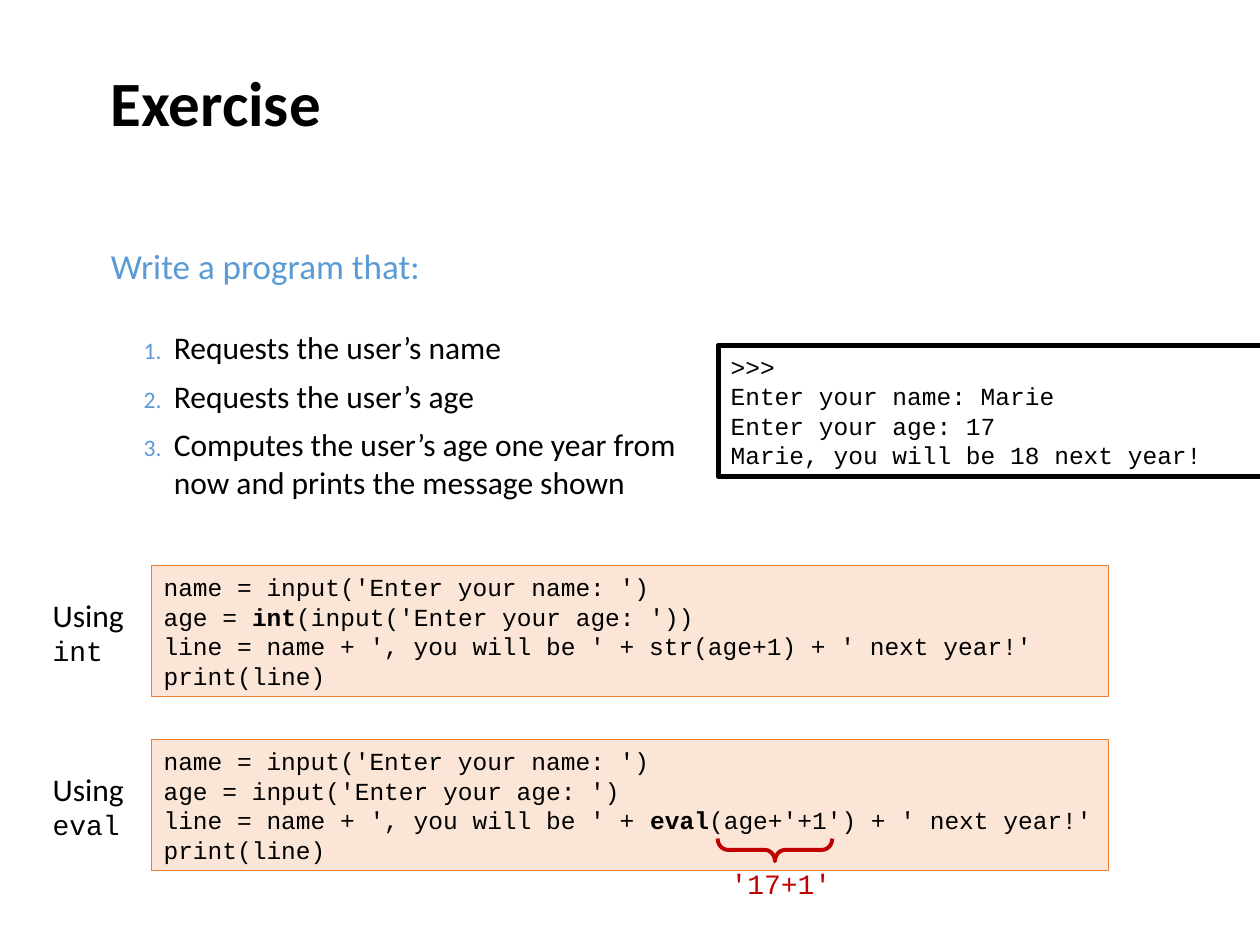
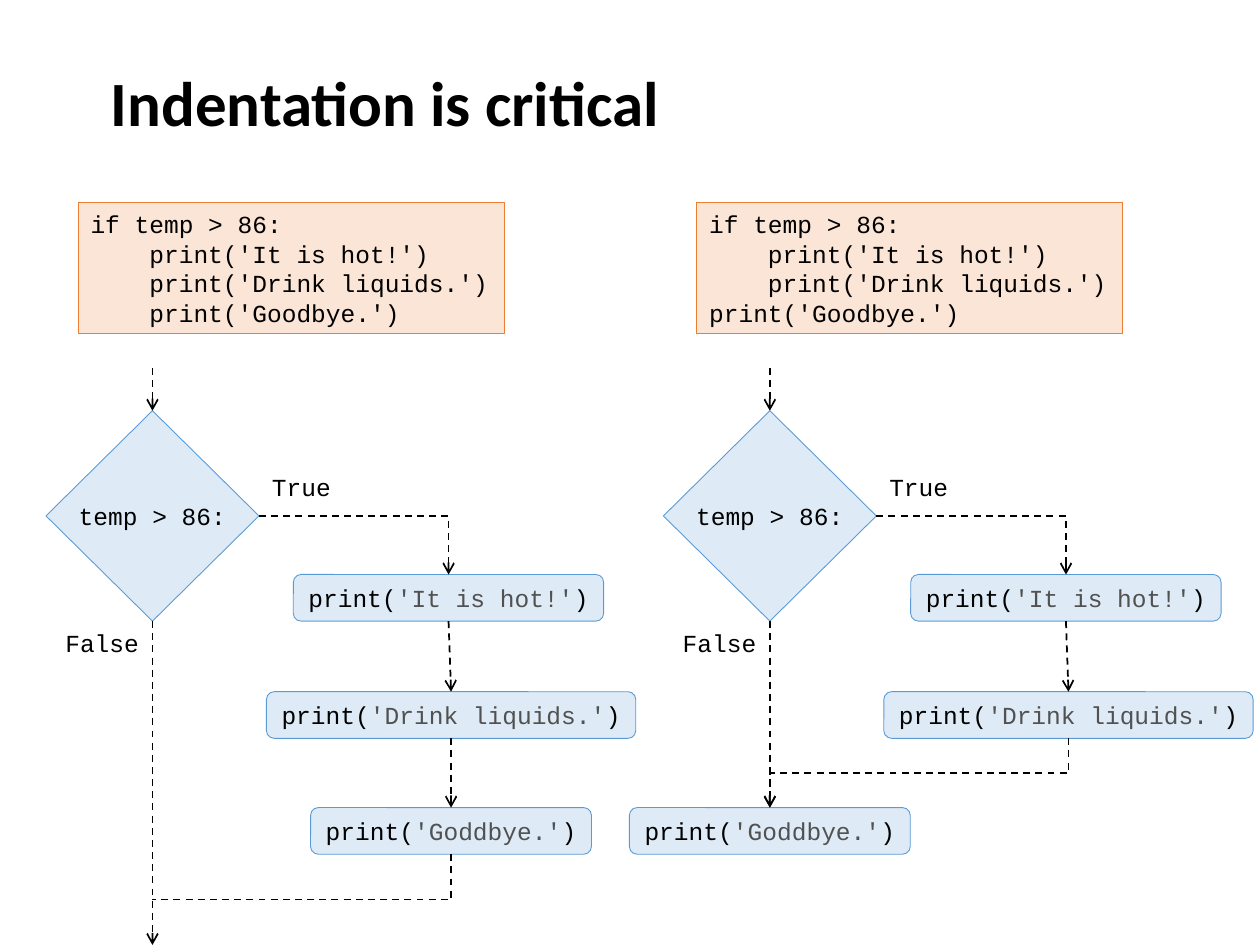
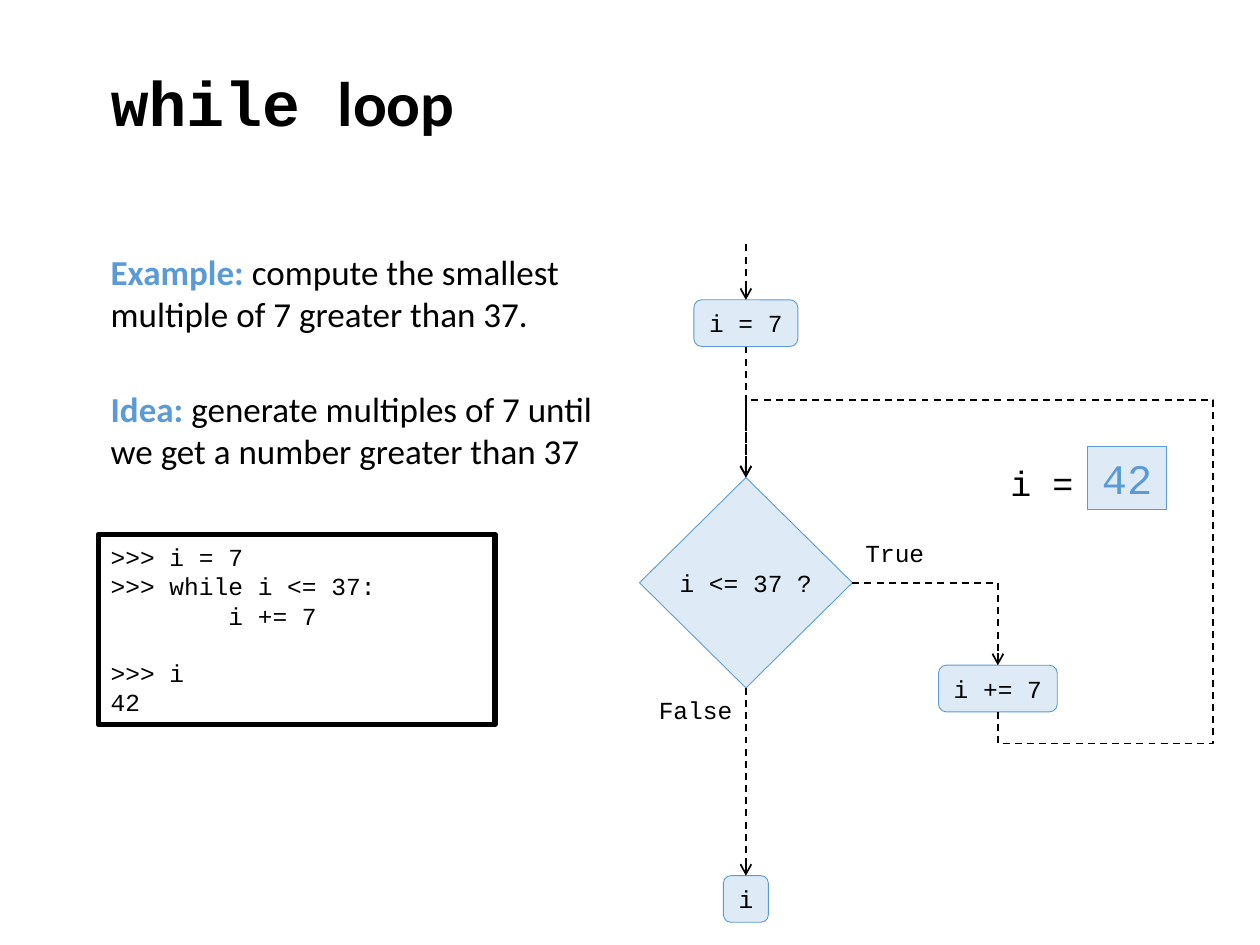
"""Build three slides on Python input, indentation and the while loop."""
from lxml import etree
from pptx import Presentation
from pptx import util as u
from pptx.dml.color import RGBColor
from pptx.enum import dml, shapes, text
from pptx.oxml.ns import qn

EXERCISE = {
    "title": [("Exercise", "title")],
    "task": "Write a program that:",
    "steps": [
        "Requests the user’s name",
        "Requests the user’s age",
        "Computes the user’s age one year from now and prints the message shown",
    ],
    "session": [
        ">>>",
        "Enter your name: Marie",
        "Enter your age: 17",
        "Marie, you will be 18 next year!",
    ],
    "solutions": [
        ("int", [
            "name = input('Enter your name: ')",
            [("age = ", "code"), ("int", "keyword"), ("(input('Enter your age: '))", "code")],
            "line = name + ', you will be ' + str(age+1) + ' next year!'",
            "print(line)",
        ]),
        ("eval", [
            "name = input('Enter your name: ')",
            "age = input('Enter your age: ')",
            [("line = name + ', you will be ' + ", "code"), ("eval", "keyword"),
             ("(age+'+1') + ' next year!'", "code")],
            "print(line)",
        ]),
    ],
    "evaluated": "'17+1'",
}

INDENTATION = {
    "title": [("Indentation is critical", "title")],
    "condition": "temp > 86:",
    "body": ["if temp > 86:", "    print('It is hot!')", "    print('Drink liquids.')"],
    "inside": "    print('Goodbye.')",
    "outside": "print('Goodbye.')",
    "printed": ["'It is hot!'", "'Drink liquids.'", "'Goddbye.'"],
}

LOOP = {
    "title": [("while ", "code_title"), ("loop", "title")],
    "notes": [
        ("Example: ", "compute the smallest multiple of 7 greater than 37."),
        ("Idea: ", "generate multiples of 7 until we get a number greater than 37"),
    ],
    "session": [">>> i = 7", ">>> while i <= 37:", "        i += 7", "", ">>> i", "42"],
    "start": "i = 7",
    "condition": "i <= 37 ?",
    "step": "i += 7",
    "finish": "i",
    "variable": "i =",
    "value": "42",
}


class Theme:
    sans, mono = "Calibri", "Courier New"
    black, blue, red, grey = "000000", "5B9BD5", "C00000", "505150"
    text = {
        "title": (36, sans, black, True),
        "code_title": (36, mono, black, True),
        "task": (20, sans, blue, False),
        "lead": (20, sans, blue, True),
        "note": (20, sans, black, False),
        "item": (18, sans, black, False),
        "code": (14, mono, black, False),
        "keyword": (14, mono, black, True),
        "string": (14, mono, grey, False),
        "function": (16, mono, black, False),
        "evaluated": (16, mono, red, False),
        "variable": (20, mono, black, False),
        "value": (24, mono, blue, False),
    }
    code_box = ("FBE5D6", "ED7D31", 0.5)
    session_box = ("FFFFFF", black, 3)
    flow_box = ("DEEBF7", blue, 0.5)
    brace = (None, red, 2.25)


TOP, LEFT, BOTTOM, RIGHT = range(4)
MIDDLE, UPPER = text.MSO_ANCHOR.MIDDLE, text.MSO_ANCHOR.TOP
CENTER, START = text.PP_ALIGN.CENTER, text.PP_ALIGN.LEFT
KIND = shapes.MSO_SHAPE
DIAMOND_W, DIAMOND_H = 1.69, 1.67
NODE_H = 0.37


def add_runs(paragraph, runs):
    for words, style in runs:
        size, font, color, bold = Theme.text[style]
        run = paragraph.add_run()
        run.text = words
        run.font.size, run.font.name, run.font.bold = u.Pt(size), font, bold
        run.font.color.rgb = RGBColor.from_string(color)


def write(frame, lines, style="code", align=START, anchor=MIDDLE, wrap=True):
    frame.word_wrap, frame.vertical_anchor = wrap, anchor
    frame.auto_size = text.MSO_AUTO_SIZE.NONE
    paragraph, gap = frame.paragraphs[0], 0
    for number, line in enumerate(lines):
        if not line:
            gap = 16
            continue
        if number:
            paragraph = frame.add_paragraph()
        paragraph.alignment = align
        paragraph.space_before, gap = u.Pt(gap), 0
        add_runs(paragraph, [(line, style)] if isinstance(line, str) else line)


def place(part, box):
    part.left, part.top, part.width, part.height = map(u.Inches, box)


def label(slide, box, lines, style="code", **layout):
    write(slide.shapes.add_textbox(*map(u.Inches, box)).text_frame, lines, style, **layout)


def draw(slide, kind, box, look):
    part = slide.shapes.add_shape(kind, *map(u.Inches, box))
    part.shadow.inherit = False
    fill, line, width = look
    if fill:
        part.fill.solid()
        part.fill.fore_color.rgb = RGBColor.from_string(fill)
    else:
        part.fill.background()
    part.line.color.rgb = RGBColor.from_string(line)
    part.line.width = u.Pt(width)
    return part


def panel(slide, box, lines, look):
    write(draw(slide, KIND.RECTANGLE, box, look).text_frame, lines)


def node(slide, center, top, runs):
    width = 0.24 + 0.117 * sum(len(words) for words, _ in runs)
    box = (center - width / 2, top, width, NODE_H)
    part = draw(slide, KIND.FLOWCHART_ALTERNATE_PROCESS, box, Theme.flow_box)
    write(part.text_frame, [runs], align=CENTER, wrap=False)
    return part


def print_node(slide, center, top, string):
    return node(slide, center, top, [("print(", "code"), (string, "string"), (")", "code")])


def decision(slide, center, top, condition):
    box = (center - DIAMOND_W / 2, top, DIAMOND_W, DIAMOND_H)
    part = draw(slide, KIND.FLOWCHART_DECISION, box, Theme.flow_box)
    write(part.text_frame, [condition], align=CENTER, wrap=False)
    label(slide, (center + 0.85, top + 0.43, 0.67, 0.34), ["True"], wrap=False)
    label(slide, (center - 0.79, top + DIAMOND_H, 0.79, 0.34), ["False"], wrap=False)
    return part


def is_joint(end):
    return hasattr(end[0], "text_frame")


def spot(end):
    if not is_joint(end):
        return tuple(map(u.Inches, end))
    part, side = end
    across = {LEFT: 0, RIGHT: part.width}.get(side, part.width // 2)
    down = {TOP: 0, BOTTOM: part.height}.get(side, part.height // 2)
    return part.left + across, part.top + down


def bend(connector, begin, end, preset, turned=False, flipped=False, adjust=()):
    (x1, y1), (x2, y2) = begin, end
    width, height = abs(x2 - x1), abs(y2 - y1)
    if turned:
        width, height = height, width
    connector.left, connector.top = (x1 + x2 - width) // 2, (y1 + y2 - height) // 2
    connector.width, connector.height = width, height
    properties = connector.element.spPr
    frame = properties.xfrm
    frame.rot, frame.flipH, frame.flipV = 90 if turned else 0, flipped, False
    geometry = properties.find(qn("a:prstGeom"))
    geometry.set("prst", preset)
    guides = geometry.find(qn("a:avLst"))
    for number, value in enumerate(adjust, 1):
        etree.SubElement(guides, qn("a:gd"), name=f"adj{number}", fmla=f"val {value}")


def link(slide, begin, end, arrow=True, **route):
    kind = shapes.MSO_CONNECTOR.ELBOW if route else shapes.MSO_CONNECTOR.STRAIGHT
    connector = slide.shapes.add_connector(kind, *spot(begin), *spot(end))
    if is_joint(begin):
        connector.begin_connect(*begin)
    if is_joint(end):
        connector.end_connect(*end)
    if route:
        bend(connector, spot(begin), spot(end), **route)
    connector.line.color.rgb = RGBColor.from_string(Theme.black)
    connector.line.width = u.Pt(1)
    connector.line.dash_style = dml.MSO_LINE.DASH
    properties = connector.element.spPr
    if arrow:
        etree.SubElement(properties.find(qn("a:ln")), qn("a:tailEnd"), type="arrow")
    etree.SubElement(properties, qn("a:effectLst"))


def new_slide(deck, layout, title):
    slide = deck.slides.add_slide(deck.slide_layouts[layout])
    place(slide.shapes.title, (0.78, 0, 8.5, 1.61))
    write(slide.shapes.title.text_frame, [title])
    return slide


def number_steps(body, task, steps):
    place(body, (0.78, 1.88, 4.69, 2.15))
    write(body.text_frame, [[(task, "task")]] + steps, "item")
    for position, paragraph in enumerate(body.text_frame.paragraphs):
        paragraph.space_after = u.Pt(6 if position else 24)
        paragraph.line_spacing = 1.0
        settings = paragraph._p.get_or_add_pPr()
        settings.set("marL", str(u.Inches(0.5)))
        settings.set("indent", str(u.Inches(-0.24 if position else -0.5)))
        if position:
            color = etree.SubElement(settings, qn("a:buClr"))
            etree.SubElement(color, qn("a:srgbClr"), val=Theme.blue)
            etree.SubElement(settings, qn("a:buSzPct"), val="75000")
            etree.SubElement(settings, qn("a:buAutoNum"), type="arabicPeriod")
        else:
            etree.SubElement(settings, qn("a:buNone"))


def exercise_slide(deck):
    slide = new_slide(deck, 1, EXERCISE["title"])
    number_steps(slide.placeholders[1], EXERCISE["task"], EXERCISE["steps"])
    panel(slide, (5.7, 2.74, 4.32, 1.04), EXERCISE["session"], Theme.session_box)
    for row, (function, code) in enumerate(EXERCISE["solutions"]):
        top = 4.49 + 1.38 * row
        panel(slide, (1.2, top, 7.6, 1.04), code, Theme.code_box)
        label(slide, (0.32, top + 0.19, 0.91, 0.67),
              [[("Using ", "item"), (function, "function")]], anchor=UPPER)
    brace = draw(slide, KIND.RIGHT_BRACE, (6.06, 6.29, 0.18, 0.91), Theme.brace)
    brace.rotation = 90
    brace.adjustments[0] = 0.447
    label(slide, (5.7, 6.83, 1.15, 0.37), [EXERCISE["evaluated"]], "evaluated", anchor=UPPER)


def indentation_flow(slide, shift, code_left, inside):
    last_line = INDENTATION["inside" if inside else "outside"]
    panel(slide, (code_left, 1.61, 3.38, 1.04), INDENTATION["body"] + [last_line], Theme.code_box)
    stem = 1.21 + shift
    hot_text, drink_text, bye_text = INDENTATION["printed"]
    test = decision(slide, stem, 3.26, INDENTATION["condition"])
    hot = print_node(slide, 3.56 + shift, 4.56, hot_text)
    drink = print_node(slide, 3.58 + shift, 5.49, drink_text)
    bye = print_node(slide, 3.58 + shift if inside else stem, 6.41, bye_text)
    link(slide, (stem, 2.92), (test, TOP))
    link(slide, (test, RIGHT), (hot, TOP), preset="bentConnector2")
    link(slide, (hot, BOTTOM), (drink, TOP))
    if inside:
        link(slide, (drink, BOTTOM), (bye, TOP))
        link(slide, (test, BOTTOM), (stem, 7.5))
        link(slide, (bye, BOTTOM), (stem, 7.14), arrow=False, preset="bentConnector2", turned=True)
    else:
        link(slide, (test, BOTTOM), (bye, TOP))
        link(slide, (drink, BOTTOM), (bye, TOP), preset="bentConnector3", turned=True)


def indentation_slide(deck):
    slide = new_slide(deck, 5, INDENTATION["title"])
    indentation_flow(slide, 0, 0.62, inside=True)
    indentation_flow(slide, 4.9, 5.53, inside=False)


def loop_slide(deck):
    slide = new_slide(deck, 5, LOOP["title"])
    for row, (lead, note) in enumerate(LOOP["notes"]):
        label(slide, (0.78, 1.94 + 1.08 * row, 4.32, 0.77), [[(lead, "lead"), (note, "note")]])
    panel(slide, (0.78, 4.24, 3.15, 1.51), LOOP["session"], Theme.session_box)

    stem = 5.92
    start = node(slide, stem, 2.38, [(LOOP["start"], "code")])
    test = decision(slide, stem, 3.79, LOOP["condition"])
    step = node(slide, 7.92, 5.28, [(LOOP["step"], "code")])
    finish = node(slide, stem, 6.95, [(LOOP["finish"], "code")])
    link(slide, (stem, 1.94), (start, TOP))
    link(slide, (start, BOTTOM), (test, TOP))
    link(slide, (test, RIGHT), (step, TOP), preset="bentConnector2")
    link(slide, (test, BOTTOM), (finish, TOP))
    link(slide, (step, BOTTOM), (test, TOP), preset="bentConnector5",
         turned=True, flipped=True, adjust=(-13500, -85500, 133000))

    label(slide, (7.92, 3.61, 0.71, 0.44), [LOOP["variable"]], "variable", wrap=False)
    value = draw(slide, KIND.RECTANGLE, (8.63, 3.54, 0.63, 0.5), Theme.flow_box)
    write(value.text_frame, [LOOP["value"]], "value", align=CENTER)


def main():
    deck = Presentation()
    deck.slide_width, deck.slide_height = u.Inches(10), u.Inches(7.5)
    exercise_slide(deck)
    indentation_slide(deck)
    loop_slide(deck)
    deck.save("out.pptx")


if __name__ == "__main__":
    main()
